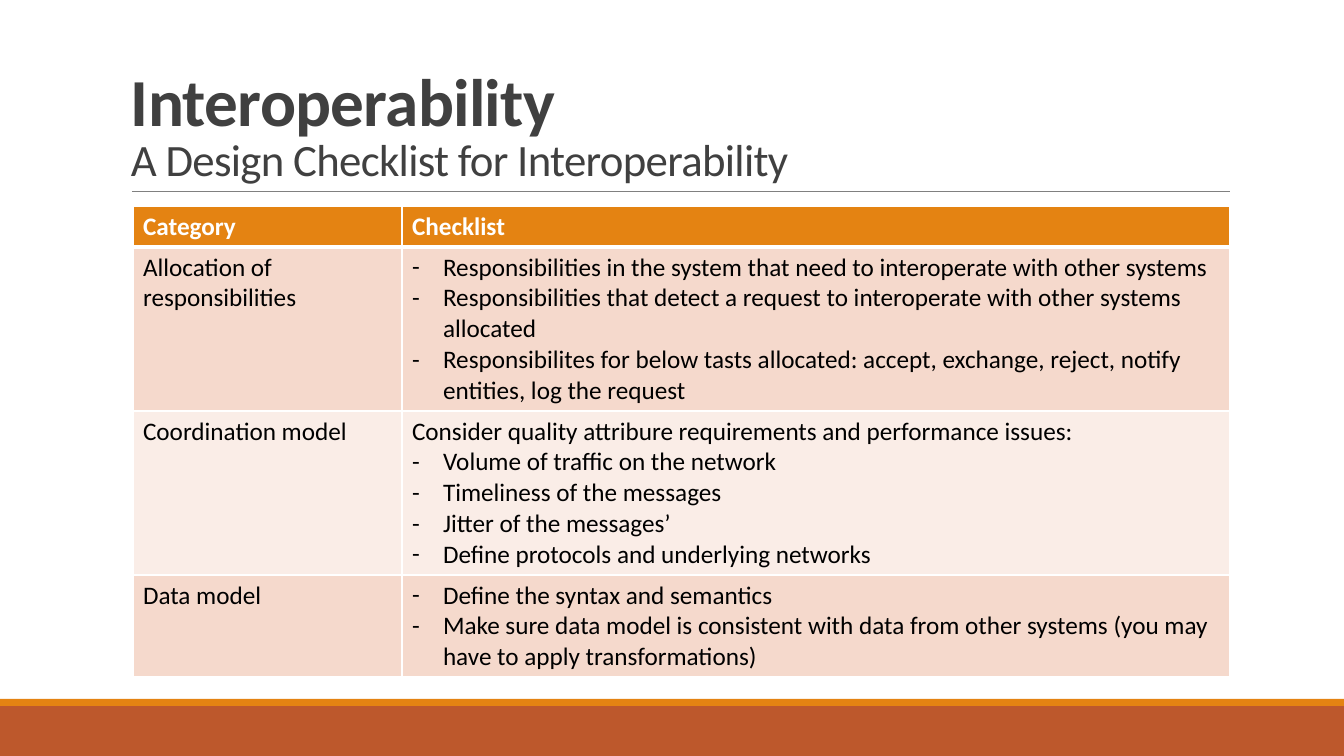
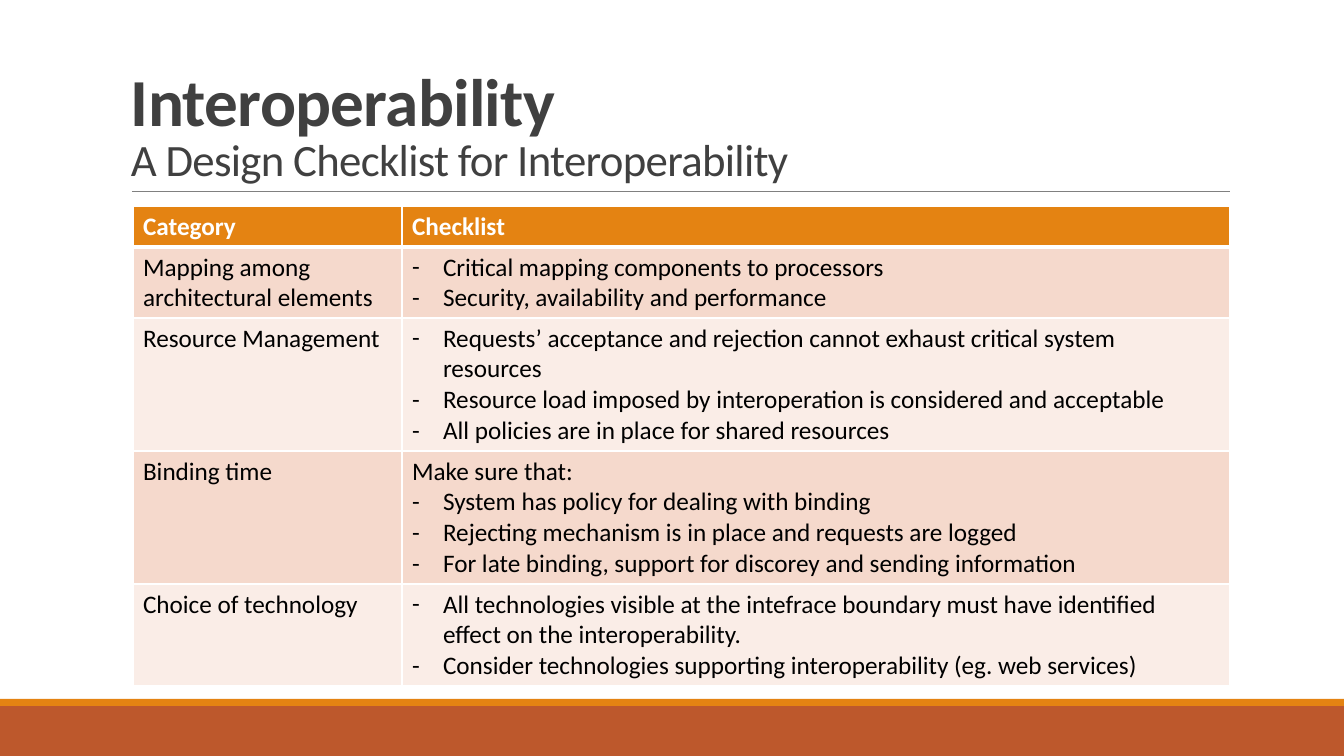
from pptx import Presentation
from pptx.dml.color import RGBColor
from pptx.enum.shapes import MSO_CONNECTOR, MSO_SHAPE
from pptx.enum.text import MSO_ANCHOR
from pptx.oxml.ns import qn
from pptx.util import Pt
from lxml import etree

RECTANGLE = MSO_SHAPE.RECTANGLE
STRAIGHT = MSO_CONNECTOR.STRAIGHT
BOTTOM = MSO_ANCHOR.BOTTOM

FONT = "Calibri"
COLORS = {
    "footer": "BD582C",
    "accent": "E48312",
    "rule": "808080",
    "title": "404040",
    "white": "FFFFFF",
    "body": "000000",
    "odd_row": "F5D9CC",
    "even_row": "FAEDE7",
}

SLIDE_WIDTH, SLIDE_HEIGHT = 1344, 756
TABLE_LEFT, TABLE_TOP = 133, 206
COLUMN_WIDTHS = (269, 828)
HEADER_HEIGHT = 41
LINE_HEIGHT, CELL_PADDING = 31, 9
BULLET_INDENT = 31

TITLE = "Interoperability"
SUBTITLE = "A Design Checklist for Interoperability"
HEADINGS = ("Category", "Checklist")

# Each entry: category, lead-in sentence, checklist items, lines of text.
CHECKLISTS = [
    [
        ("Allocation of responsibilities", "", [
            "Responsibilities in the system that need to interoperate with other systems",
            "Responsibilities that detect a request to interoperate with other systems allocated",
            "Responsibilites for below tasts allocated: accept, exchange, reject, notify entities, log the request",
        ], 5),
        ("Coordination model",
         "Consider quality attribure requirements and performance issues:", [
             "Volume of traffic on the network",
             "Timeliness of the messages",
             "Jitter of the messages’",
             "Define protocols and underlying networks",
         ], 5),
        ("Data model", "", [
            "Define the syntax and semantics",
            "Make sure data model is consistent with data from other systems (you may have to apply transformations)",
        ], 3),
    ],
    [
        ("Mapping among architectural elements", "", [
            "Critical mapping components to processors",
            "Security, availability and performance",
        ], 2),
        ("Resource Management", "", [
            "Requests’ acceptance and rejection cannot exhaust critical system resources",
            "Resource load imposed by interoperation is considered and acceptable",
            "All policies are in place for shared resources",
        ], 4),
        ("Binding time", "Make sure that:", [
            "System has policy for dealing with binding",
            "Rejecting mechanism is in place and requests are logged",
            "For late binding, support for discorey and sending information",
        ], 4),
        ("Choice of technology", "", [
            "All technologies visible at the intefrace boundary must have identified effect on the interoperability.",
            "Consider technologies supporting interoperability (eg. web services)",
        ], 3),
    ],
]


def px(length):
    return round(length * 914400 / 100.8)


def rgb(name):
    return RGBColor.from_string(COLORS[name])


def add_run(paragraph, text, size, color, bold=False):
    run = paragraph.add_run()
    run.text = text
    run.font.name = FONT
    run.font.size = Pt(size)
    run.font.bold = bold
    run.font.color.rgb = rgb(color)
    return run


def add_band(slide, top, height, color):
    band = slide.shapes.add_shape(RECTANGLE, 0, px(top), px(SLIDE_WIDTH), px(height))
    band.shadow.inherit = False
    band.fill.solid()
    band.fill.fore_color.rgb = rgb(color)
    band.line.fill.background()


def add_rule(slide, left, right, top):
    rule = slide.shapes.add_connector(STRAIGHT, px(left), px(top), px(right), px(top))
    rule.line.color.rgb = rgb("rule")
    rule.line.width = Pt(0.5)
    etree.SubElement(rule._element.spPr, qn("a:effectLst"))


def add_title(slide):
    frame = slide.shapes.add_textbox(px(121), px(31), px(1109), px(160)).text_frame
    frame.word_wrap = True
    frame.vertical_anchor = BOTTOM
    heading = frame.paragraphs[0]
    heading.line_spacing = 0.85
    title = add_run(heading, TITLE, 48, "title", bold=True)
    heading.add_line_break()
    subtitle = add_run(heading, SUBTITLE, 32, "title")
    for run in (title, subtitle):
        run._r.get_or_add_rPr().set("spc", "-50")


def add_dash(paragraph):
    properties = paragraph._p.get_or_add_pPr()
    properties.set("marL", str(px(BULLET_INDENT)))
    properties.set("indent", str(-px(BULLET_INDENT)))
    etree.SubElement(properties, qn("a:buFont"), typeface=FONT)
    etree.SubElement(properties, qn("a:buChar"), char="-")


def style_cell(cell, fill, top=1, bottom=1):
    properties = cell._tc.get_or_add_tcPr()
    for side, width in (("L", 1), ("R", 1), ("T", top), ("B", bottom)):
        border = etree.SubElement(properties, qn(f"a:ln{side}"), w=str(Pt(width)))
        solid = etree.SubElement(border, qn("a:solidFill"))
        etree.SubElement(solid, qn("a:srgbClr"), val=COLORS["white"])
    cell.fill.solid()
    cell.fill.fore_color.rgb = rgb(fill)


def write_checklist(cell, lead, items):
    entries = [(lead, False)] if lead else []
    entries += [(item, True) for item in items]
    frame = cell.text_frame
    for index, (text, dashed) in enumerate(entries):
        paragraph = frame.add_paragraph() if index else frame.paragraphs[0]
        if dashed:
            add_dash(paragraph)
        add_run(paragraph, text, 18, "body")


def add_checklist_table(slide, checklist):
    heights = [HEADER_HEIGHT]
    heights += [CELL_PADDING + LINE_HEIGHT * lines for *_, lines in checklist]
    table = slide.shapes.add_table(
        len(heights), len(COLUMN_WIDTHS), px(TABLE_LEFT), px(TABLE_TOP),
        px(sum(COLUMN_WIDTHS)), px(sum(heights))).table
    table.horz_banding = False
    for column, width in zip(table.columns, COLUMN_WIDTHS):
        column.width = px(width)
    for row, height in zip(table.rows, heights):
        row.height = px(height)
    for column, heading in enumerate(HEADINGS):
        cell = table.cell(0, column)
        style_cell(cell, "accent", bottom=3)
        add_run(cell.text_frame.paragraphs[0], heading, 18, "white", bold=True)
    for row, (category, lead, items, _) in enumerate(checklist, start=1):
        category_cell, checklist_cell = table.cell(row, 0), table.cell(row, 1)
        for cell in (category_cell, checklist_cell):
            style_cell(cell, "odd_row" if row % 2 else "even_row", top=3 if row == 1 else 1)
        add_run(category_cell.text_frame.paragraphs[0], category, 18, "body")
        write_checklist(checklist_cell, lead, items)


def add_checklist_slide(deck, checklist):
    slide = deck.slides.add_slide(deck.slide_layouts[6])
    add_band(slide, 706, 50, "footer")
    add_band(slide, 699, 7, "accent")
    add_rule(slide, 132, 1230, 191)
    add_title(slide)
    add_checklist_table(slide, checklist)


def main():
    deck = Presentation()
    deck.slide_width = px(SLIDE_WIDTH)
    deck.slide_height = px(SLIDE_HEIGHT)
    for checklist in CHECKLISTS:
        add_checklist_slide(deck, checklist)
    deck.save("out.pptx")


if __name__ == "__main__":
    main()
